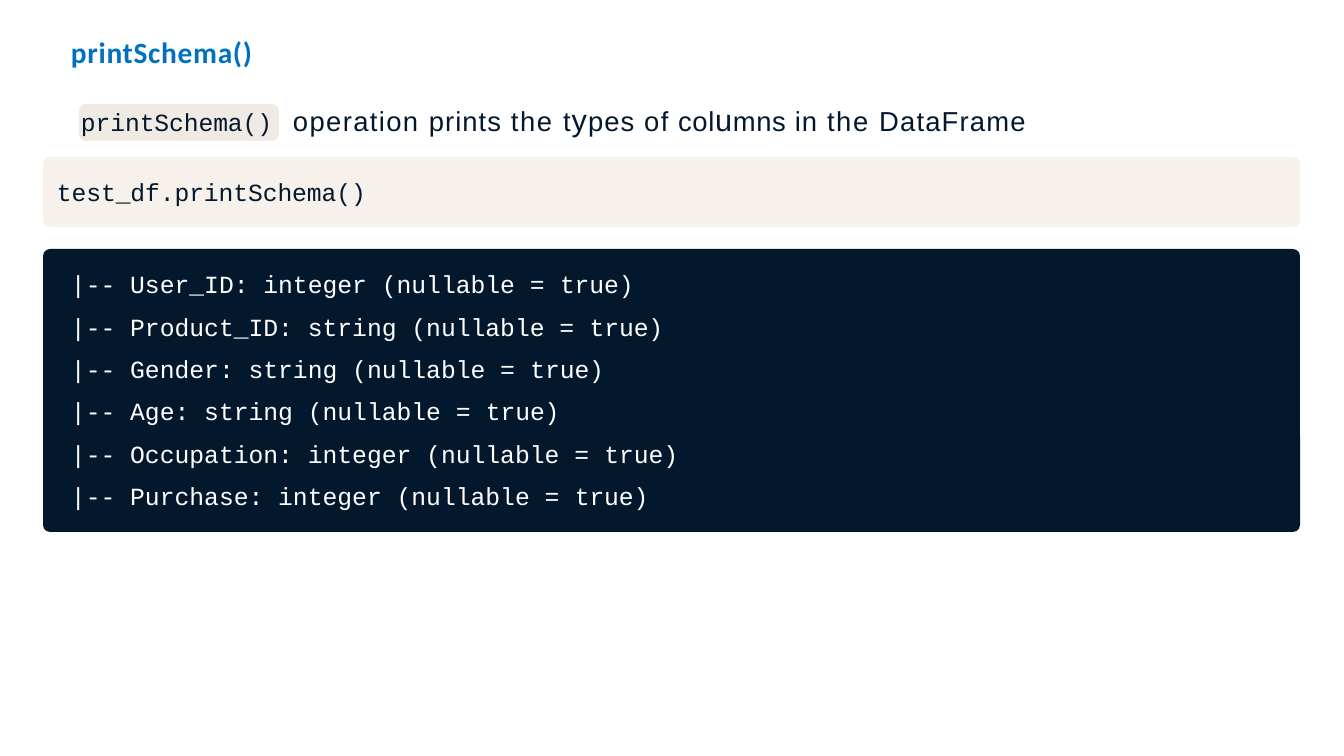
from pptx import Presentation
from pptx import util as u
from pptx.dml.color import RGBColor
from pptx.enum import shapes, text

PX = 914400 / 75.6
SLIDE_SIZE = (1344, 756)
CORNER_RADIUS = 7

NAVY, WHITE, BLUE = "04182D", "FFFFFF", "0070C0"
CODE = {"name": "Courier New", "size": 23.5, "color": NAVY}
BODY = {"name": "Arial", "size": 26.1, "color": NAVY}
OUTPUT = {**CODE, "color": WHITE}
HEADING = {"name": "Calibri", "size": 28, "color": BLUE, "bold": True}
LARGE = 29.2

# Boxes are left, top, width, height in px
PANELS = [
    ((43, 157, 1257, 70), "F6F2EB"),
    ((43, 249, 1257, 283), NAVY),
    ((79, 104, 200, 37), "EFEBE3"),
]

# Runs are text, letter spacing in points and, where it differs, size
TITLE = [("printSchema()", 0.7)]
DESCRIPTION = [
    ("operation ", 1.3), ("prints ", 1), ("the ", 1.5),
    ("t", 1), ("y", 1, LARGE), ("pes ", 1), ("of", 1.4),
    (" col", 0.6), ("u", 0.6, LARGE), ("mns ", 0.6),
    ("in ", 1), ("the ", 1.5), ("DataFrame", 1.1),
]
SCHEMA = [
    ("User_ID", "integer"),
    ("Product_ID", "string"),
    ("Gender", "string"),
    ("Age", "string"),
    ("Occupation", "integer"),
    ("Purchase", "integer"),
]
SCHEMA_LINES = [
    [(f"|-- {column}: {kind} (nullable = ", 0), ("true)", -0.1)]
    for column, kind in SCHEMA
]

# Box, paragraphs, font, top inset in px, space before first and later paragraphs
TITLE_TEXT = ((71, 32, 1263, 37), [TITLE], HEADING, 2, 1.2, 0)
TEXTS = [
    ((81, 105, 195, 31), [[("printSchema()", -0.1)]], CODE, 2, 1.1, 0),
    ((293, 99, 736, 39), [DESCRIPTION], BODY, 2, 1.1, 0),
    ((57, 175, 314, 31), [[("test_df.printSchema()", -0.1)]], CODE, 2, 1.1, 0),
    ((71, 255, 610, 257), SCHEMA_LINES, OUTPUT, 14, 13.2, 12.2),
]


def px(length):
    return u.Emu(round(length * PX))


def rgb(color):
    return RGBColor.from_string(color)


def set_all(target, values):
    for name, value in values.items():
        setattr(target, name, value)


def place(shape, box):
    set_all(shape, dict(zip(("left", "top", "width", "height"), map(px, box))))


def add_panel(slide, box, color):
    shape = slide.shapes.add_shape(
        shapes.MSO_SHAPE.ROUNDED_RECTANGLE, *map(px, box))
    shape.adjustments[0] = CORNER_RADIUS / min(box[2:])
    shape.shadow.inherit = False
    shape.fill.solid()
    shape.fill.fore_color.rgb = rgb(color)
    shape.line.fill.background()


def add_run(paragraph, font, content, spacing, size=None):
    run = paragraph.add_run()
    run.text = content
    set_all(run.font, {
        "name": font["name"],
        "size": u.Pt(size or font["size"]),
        "bold": font.get("bold", False),
    })
    run.font.color.rgb = rgb(font["color"])
    run.font._element.set("spc", str(round(spacing * 100)))


def write(shape, box, paragraphs, font, inset, space_first, space_next):
    frame = shape.text_frame
    set_all(frame, {
        "word_wrap": True,
        "auto_size": text.MSO_AUTO_SIZE.SHAPE_TO_FIT_TEXT,
        "vertical_anchor": text.MSO_ANCHOR.TOP,
        "margin_left": 0,
        "margin_right": 0,
        "margin_top": px(inset),
        "margin_bottom": 0,
    })
    for index, runs in enumerate(paragraphs):
        paragraph = frame.add_paragraph() if index else frame.paragraphs[0]
        paragraph.alignment = text.PP_ALIGN.LEFT
        paragraph.space_before = u.Pt(space_next if index else space_first)
        for run in runs:
            add_run(paragraph, font, *run)
    place(shape, box)


def main():
    presentation = Presentation()
    presentation.slide_width, presentation.slide_height = map(px, SLIDE_SIZE)
    slide = presentation.slides.add_slide(presentation.slide_layouts[5])
    write(slide.shapes.title, *TITLE_TEXT)
    for box, color in PANELS:
        add_panel(slide, box, color)
    for box, *content in TEXTS:
        write(slide.shapes.add_textbox(*map(px, box)), box, *content)
    presentation.save("out.pptx")


if __name__ == "__main__":
    main()
